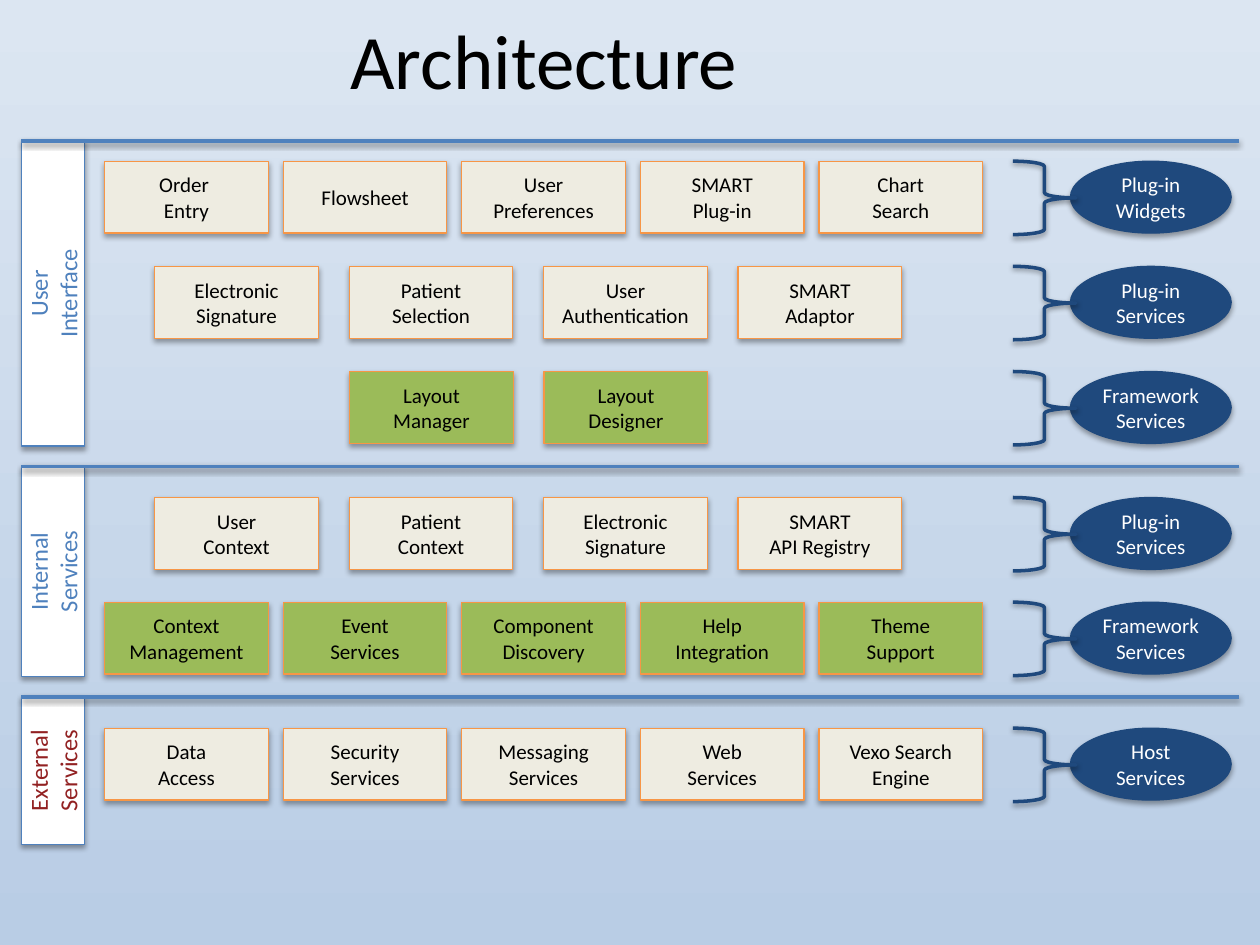
from dataclasses import dataclass

from lxml import etree
from pptx import Presentation
from pptx.dml.color import RGBColor
from pptx.enum import shapes as es, text as et
from pptx.oxml import ns
from pptx.util import Cm, Pt

COLORS = {
    "sky": "DCE6F2", "haze": "B9CDE5", "white": "FFFFFF", "black": "000000",
    "blue": "4F81BD", "navy": "1F497D", "orange": "F79646",
    "cream": "EEECE1", "green": "9BBB59", "red": "922122",
}
FONT = "Calibri"
BOX_WIDTH, BOX_HEIGHT = 3.3, 1.45
BAND_LEFT, BAND_RIGHT = 0.43, 24.97
WIDE_ROW = (2.11, 3.6)
NARROW_ROW = (3.12, 3.92)
MIDDLE_ROW = (7.05, 3.92)


@dataclass
class Layer:
    label: str
    top: float
    height: float
    ink: str = "blue"


@dataclass
class Row:
    top: float
    grid: tuple[float, float]
    fill: str
    category: str
    components: list[str]


LAYERS = [
    Layer("User\nInterface", 2.84, 6.15),
    Layer("Internal\nServices", 9.4, 4.24),
    Layer("External\nServices", 14.05, 2.97, "red"),
]
ROWS = [
    Row(3.25, WIDE_ROW, "cream", "Plug-in\nWidgets",
        ["Order \nEntry", "Flowsheet", "User Preferences", "SMART\nPlug-in", "Chart\nSearch"]),
    Row(5.37, NARROW_ROW, "cream", "Plug-in\nServices",
        ["Electronic\nSignature", "Patient\nSelection", "User\nAuthentication", "SMART\nAdaptor"]),
    Row(7.49, MIDDLE_ROW, "green", "Framework\nServices",
        ["Layout\nManager", "Layout\nDesigner"]),
    Row(10.03, NARROW_ROW, "cream", "Plug-in\nServices",
        ["User\nContext", "Patient\nContext", "Electronic\nSignature", "SMART\nAPI Registry"]),
    Row(12.14, WIDE_ROW, "green", "Framework\nServices",
        ["Context\nManagement", "Event\nServices", "Component\nDiscovery",
         "Help\nIntegration", "Theme\nSupport"]),
    Row(14.68, WIDE_ROW, "cream", "Host\nServices",
        ["Data\nAccess", "Security\nServices", "Messaging\nServices", "Web\nServices",
         "Vexo Search Engine"]),
]


def rgb(name: str) -> RGBColor:
    return RGBColor.from_string(COLORS[name])


def add_shadow(item, distance: float, opacity: int) -> None:
    properties = item._element.spPr
    effects = etree.SubElement(properties, ns.qn("a:effectLst"))
    shadow = etree.SubElement(effects, ns.qn("a:outerShdw"), blurRad=str(Pt(3.1)),
                              dist=str(Pt(distance)), dir="5400000", rotWithShape="0")
    color = etree.SubElement(shadow, ns.qn("a:srgbClr"), val=COLORS["black"])
    etree.SubElement(color, ns.qn("a:alpha"), val=str(opacity * 1000))


def set_line(item, color: str, width: float) -> None:
    item.line.color.rgb = rgb(color)
    item.line.width = Pt(width)


def write(frame, wording: str, size: int, color: str) -> None:
    frame.vertical_anchor = et.MSO_ANCHOR.MIDDLE
    for index, line in enumerate(wording.split("\n")):
        paragraph = frame.add_paragraph() if index else frame.paragraphs[0]
        paragraph.alignment = et.PP_ALIGN.CENTER
        run = paragraph.add_run()
        run.text = line
        run.font.size = Pt(size)
        run.font.name = FONT
        run.font.color.rgb = rgb(color)


def add_block(slide, kind, box: tuple, wording: str, fill: str, outline: str,
              ink: str, size: int = 12):
    block = slide.shapes.add_shape(kind, *map(Cm, box))
    block.fill.solid()
    block.fill.fore_color.rgb = rgb(fill)
    set_line(block, outline, 0.75)
    add_shadow(block, 1.8, 35)
    write(block.text_frame, wording, size, ink)
    return block


def draw_layer(slide, layer: Layer) -> None:
    panel = add_block(slide, es.MSO_SHAPE.RECTANGLE,
                      (BAND_LEFT, layer.top, 1.27, layer.height),
                      layer.label, "white", "blue", layer.ink, 14)
    panel.text_frame._txBody.bodyPr.set("vert", "vert270")
    divider = slide.shapes.add_connector(es.MSO_CONNECTOR.STRAIGHT, Cm(BAND_LEFT), Cm(layer.top),
                                         Cm(BAND_RIGHT), Cm(layer.top))
    set_line(divider, "blue", 2)
    add_shadow(divider, 1.6, 38)


def draw_row(slide, row: Row) -> None:
    left, pitch = row.grid
    for index, component in enumerate(row.components):
        add_block(slide, es.MSO_SHAPE.RECTANGLE,
                  (left + index * pitch, row.top, BOX_WIDTH, BOX_HEIGHT),
                  component, row.fill, "orange", "black")
    category = add_block(slide, es.MSO_SHAPE.OVAL, (21.58, row.top, 3.24, BOX_HEIGHT),
                         row.category, "navy", "navy", "white")
    category.text_frame.word_wrap = False
    brace = slide.shapes.add_shape(es.MSO_SHAPE.RIGHT_BRACE,
                                   Cm(20.42), Cm(row.top), Cm(1.27), Cm(1.48))
    brace.fill.background()
    set_line(brace, "navy", 2)
    add_shadow(brace, 1.6, 38)


def main() -> None:
    deck = Presentation()
    deck.slide_width, deck.slide_height = Cm(25.4), Cm(19.05)
    slide = deck.slides.add_slide(deck.slide_layouts[5])

    backdrop = slide.background.fill
    backdrop.gradient()
    backdrop.gradient_angle = 270
    for stop, color in zip(backdrop.gradient_stops, ("sky", "haze")):
        stop.color.rgb = rgb(color)

    title = slide.shapes.title
    title.left, title.top, title.width, title.height = Cm(-0.46), Cm(0.03), Cm(22.86), Cm(2.29)
    write(title.text_frame, "Architecture", 44, "black")

    for layer in LAYERS:
        draw_layer(slide, layer)
    for row in ROWS:
        draw_row(slide, row)
    deck.save("out.pptx")


if __name__ == "__main__":
    main()
